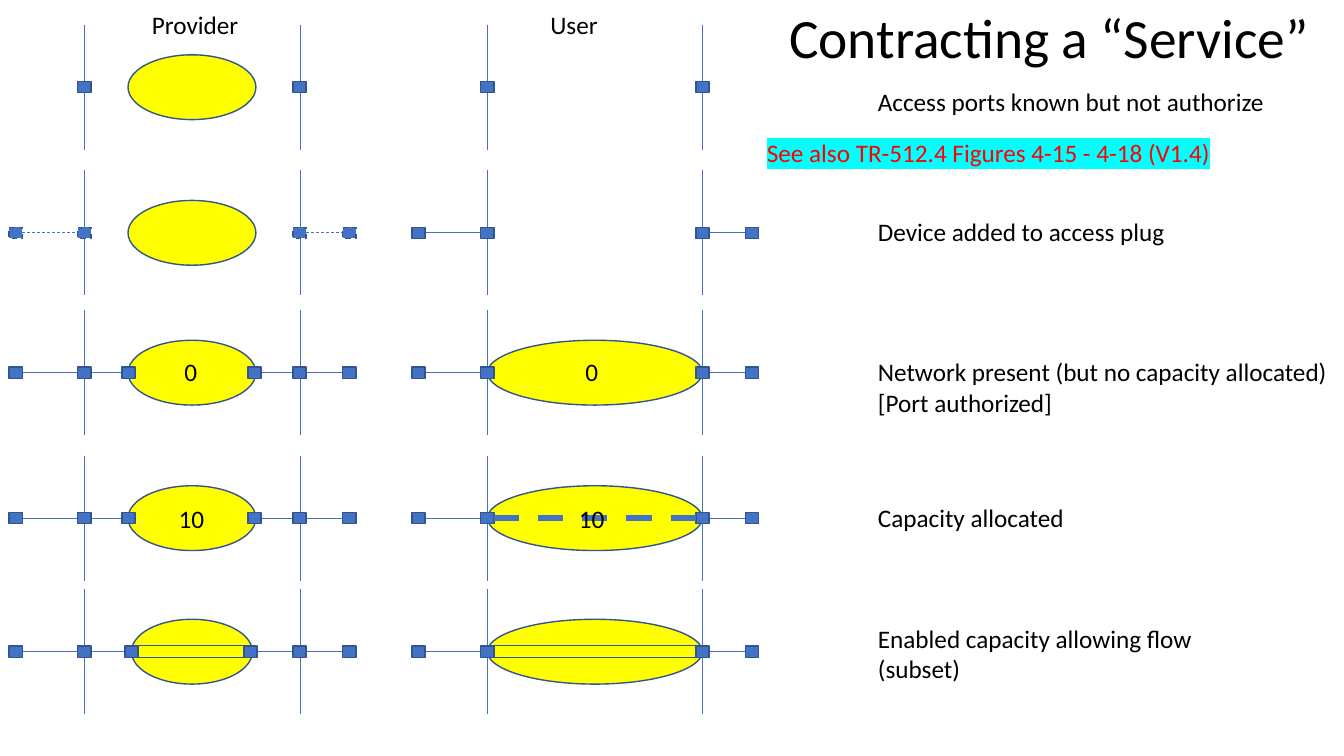
"""Build the slide that shows five stages of contracting a service, as seen by provider and user."""
from lxml.etree import SubElement
from pptx import Presentation
from pptx.dml.color import RGBColor
from pptx.enum.dml import MSO_LINE
from pptx.enum.shapes import MSO_CONNECTOR, MSO_SHAPE
from pptx.enum.text import MSO_ANCHOR, MSO_AUTO_SIZE, PP_ALIGN
from pptx.oxml.ns import qn
from pptx.util import Pt

BLUE = RGBColor(0x44, 0x72, 0xC4)
NAVY = RGBColor(0x32, 0x54, 0x91)
YELLOW = RGBColor(0xFF, 0xFF, 0x00)
BLACK = RGBColor(0x00, 0x00, 0x00)
RED = RGBColor(0xFF, 0x00, 0x00)
CYAN = RGBColor(0x00, 0xFF, 0xFF)

PORT_W, PORT_H = 9.4, 7.9
CLOUD_H = 46.3
PIPE_H = 8.6
WALL_H = 89.3
OUTER_L, WALL_L, WALL_R, OUTER_R = 11.2, 60.3, 214, 249.5
USER_X = 287.8

deck = Presentation()
deck.slide_width, deck.slide_height = Pt(960), Pt(540)
slide = deck.slides.add_slide(deck.slide_layouts[6])


def draw_shape(kind, mid_x, mid_y, width, height, fill, dash=None):
    shape = slide.shapes.add_shape(
        kind, Pt(mid_x - width / 2), Pt(mid_y - height / 2), Pt(width), Pt(height))
    shape.shadow.inherit = False
    shape.fill.solid()
    shape.fill.fore_color.rgb = fill
    shape.line.color.rgb = NAVY
    shape.line.width = Pt(1)
    shape.line.dash_style = dash


def draw_line(x1, y1, x2, y2, width=0.5, dash=None):
    line = slide.shapes.add_connector(
        MSO_CONNECTOR.STRAIGHT, Pt(x1), Pt(y1), Pt(x2), Pt(y2))
    line.line.color.rgb = BLUE
    line.line.width = Pt(width)
    line.line.dash_style = dash
    SubElement(line._element.spPr, qn("a:effectLst"))


walls = [WALL_L, WALL_R]
ends = [OUTER_L, WALL_L, WALL_R, OUTER_R]
full = [OUTER_L, WALL_L, 91.8, 181.8, WALL_R, OUTER_R]
flow = [OUTER_L, WALL_L, 94, 179, WALL_R, OUTER_R]
tails = [(OUTER_L, WALL_L), (WALL_R, OUTER_R)]
links = tails + [(WALL_L, 91.8), (181.8, WALL_R)]
joins = tails + [(WALL_L, 94), (179, WALL_R)]
DASH = MSO_LINE.DASH

views = [
    (0, 62.3, 91.4, walls, [], None, False),
    (0, 166.3, 91.4, ends, tails, DASH, False),
    (0, 266.2, 91.4, full, links, None, False),
    (0, 370.1, 91.4, full, links, None, False),
    (0, 465.5, 86.4, flow, joins, None, True),
    (USER_X, 62.3, 0, walls, [], None, False),
    (USER_X, 166.3, 0, ends, tails, None, False),
    (USER_X, 266.2, 153.4, ends, tails, None, False),
    (USER_X, 370.1, 153.4, ends, tails, None, False),
    (USER_X, 465.5, 153.4, ends, tails, None, True),
]

for left, mid, cloud, ports, wires, dash, pipe in views:
    center = left + (WALL_L + WALL_R) / 2
    if cloud:
        draw_shape(MSO_SHAPE.OVAL, center, mid, cloud, CLOUD_H, YELLOW)
    if pipe:
        draw_shape(MSO_SHAPE.RECTANGLE, center, mid, cloud, PIPE_H, YELLOW)
    for wall in walls:
        draw_line(left + wall + 0.2, mid - WALL_H / 2, left + wall + 0.2, mid + WALL_H / 2)
    for start, end in wires:
        draw_line(left + start + PORT_W / 2, mid, left + end - PORT_W / 2, mid, dash=dash)
    for port in ports:
        draw_shape(MSO_SHAPE.FLOWCHART_PROCESS, left + port, mid, PORT_W, PORT_H, BLUE, dash)

draw_line(USER_X + WALL_L + PORT_W / 2, 370.1, USER_X + WALL_R - PORT_W / 2, 370.1, 4.5, DASH)

LEFT, MIDDLE = PP_ALIGN.LEFT, PP_ALIGN.CENTER
labels = [
    ("Provider", 101.5, 2.9, 77, LEFT),
    ("User", 386, 2.9, 49, LEFT),
    ("0", 124.6, 251.3, 23.8, LEFT),
    ("0", 411.1, 251.3, 23.8, LEFT),
    ("10", 120.2, 355.7, 33.1, MIDDLE),
    ("10", 406.1, 355.7, 33.1, MIDDLE),
    ("Access ports known but not authorize", 620, 58.3, 293, LEFT),
    ("Device added to access plug", 620, 151.2, 221.8, LEFT),
    ("Network present (but no capacity allocated)\n[Port authorized]", 620, 251.3, 339.1, LEFT),
    ("Capacity allocated", 620, 355, 154.1, LEFT),
    ("Enabled capacity allowing flow\n(subset)", 620, 441.4, 241.2, LEFT),
    ("See also TR-512.4 Figures 4-15 - 4-18 (V1.4)", 540.7, 94.3, 378.7, LEFT),
    ("Contracting a “Service”", 556.6, 2.9, 396, LEFT),
]

for words, left, top, width, align in labels:
    title = words.startswith("Contracting")
    note = words.startswith("See also")
    lines = words.split("\n")
    height = 51.8 if title else 7.2 + 21.9 * len(lines)
    box = slide.shapes.add_textbox(Pt(left), Pt(top), Pt(width), Pt(height))
    frame = box.text_frame
    frame.word_wrap = title or note
    frame.auto_size = MSO_AUTO_SIZE.NONE if title else MSO_AUTO_SIZE.SHAPE_TO_FIT_TEXT
    if title:
        frame.vertical_anchor = MSO_ANCHOR.MIDDLE
    for index, text in enumerate(lines):
        para = frame.add_paragraph() if index else frame.paragraphs[0]
        para.alignment = align
        if title:
            para.line_spacing = 0.9
        run = para.add_run()
        run.text = text
        run.font.size = Pt(39.6 if title else 18)
        run.font.color.rgb = RED if note else BLACK
        if note:
            mark = SubElement(run.font._element, qn("a:highlight"))
            SubElement(mark, qn("a:srgbClr"), val=str(CYAN))
        run.font.name = "Calibri"

deck.save("out.pptx")
